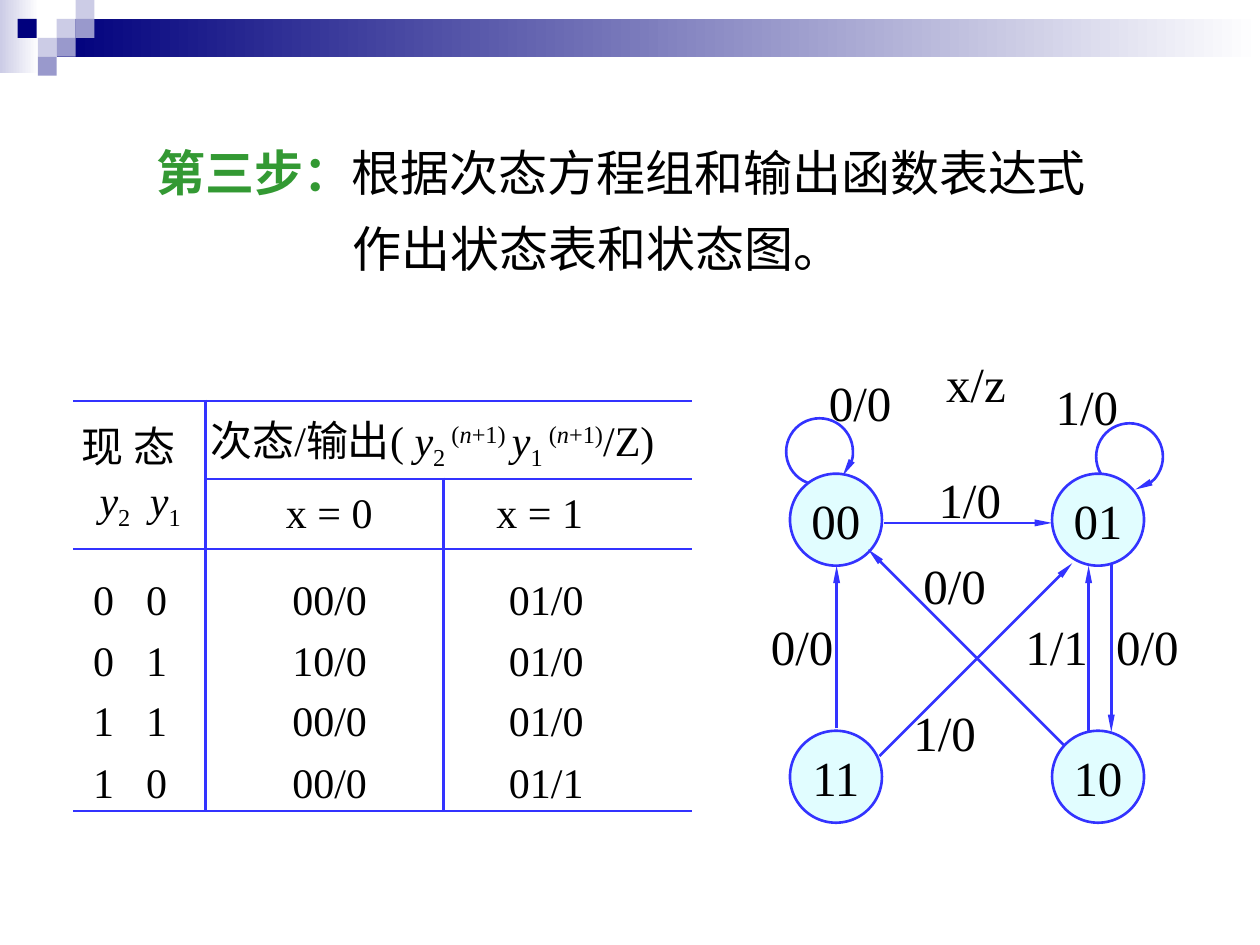
from pptx import Presentation
from pptx.dml.color import RGBColor
from pptx.enum.shapes import MSO_CONNECTOR, MSO_SHAPE
from pptx.enum.text import MSO_ANCHOR, MSO_AUTO_SIZE, PP_ALIGN
from pptx.oxml.ns import qn
from pptx.util import Inches, Pt
from lxml.etree import SubElement

NAVY = RGBColor(0x00, 0x00, 0x7D)
LILAC = RGBColor(0xCC, 0xCC, 0xE6)
VIOLET = RGBColor(0x99, 0x99, 0xCC)
WHITE = RGBColor(0xFF, 0xFF, 0xFF)
BLACK = RGBColor(0, 0, 0)
GREEN = RGBColor(0x33, 0x99, 0x33)
BLUE = RGBColor(0x33, 0x33, 0xFF)
PALE_CYAN = RGBColor(0xE1, 0xFD, 0xFF)
FONT = "Times New Roman"
LINE_WIDTH = Pt(1.5)
NO_STYLE_TABLE = "{2D5ABB26-0587-4C30-8999-92F81FD0307C}"

SUB, SUPER = -25000, 30000
STATE_ROWS = [("0\t0", "00/0", "01/0"), ("0\t1", "10/0", "01/0"),
              ("1\t1", "00/0", "01/0"), ("1\t0", "00/0", "01/1")]
NODE_SIZE = 0.73
NODES = [("00", 6.27, 3.76), ("01", 8.35, 3.76), ("10", 8.35, 5.8), ("11", 6.27, 5.8)]
TRANSITIONS = [(7.02, 4.15, 8.35, 4.15), (6.64, 5.78, 6.64, 4.49),
               (6.98, 6, 8.51, 4.47), (8.45, 5.92, 6.89, 4.36),
               (8.64, 5.81, 8.64, 4.49), (8.82, 4.47, 8.82, 5.81)]
LOOPS = [(6.24, 3.32, 110, 46), (8.7, 3.36, 146, 80)]
LABELS = [("x/z", 7.41, 2.76), ("0/0", 6.48, 2.91), ("1/0", 8.28, 2.94),
          ("1/0", 7.35, 3.68), ("0/0", 7.23, 4.36), ("0/0", 8.76, 4.84),
          ("0/0", 6.02, 4.84), ("1/1", 8.04, 4.84), ("1/0", 7.15, 5.53)]


def format_run(run, size, color=BLACK, bold=False, italic=False, baseline=0):
    font = run.font
    font.name, font.size, font.bold, font.italic = FONT, Pt(size), bold, italic
    font.color.rgb = color
    if baseline:
        run._r.get_or_add_rPr().set("baseline", str(baseline))


def add_formula(paragraph, parts):
    """Append (text, italic, baseline) parts as 24 pt runs."""
    for text, italic, baseline in parts:
        run = paragraph.add_run()
        run.text = text
        format_run(run, 24, italic=italic, baseline=baseline)


def add_tabs(paragraph, *stops):
    tab_list = SubElement(paragraph._p.get_or_add_pPr(), qn("a:tabLst"))
    for stop in stops:
        SubElement(tab_list, qn("a:tab"), pos=str(Inches(stop)), algn="l")


def style_line(line):
    line.color.rgb = BLUE
    line.width = LINE_WIDTH


def add_arrowhead(shape):
    outline = shape._element.spPr.find(qn("a:ln"))
    SubElement(outline, qn("a:tailEnd"), type="triangle", w="sm", len="lg")


def add_block(slide, left, top, width, height, *colors):
    """Add a borderless rectangle, shaded left to right if two colours are given."""
    block = slide.shapes.add_shape(MSO_SHAPE.RECTANGLE, Inches(left), Inches(top),
                                   Inches(width), Inches(height))
    block.shadow.inherit = False
    block.line.fill.background()
    if len(colors) == 1:
        block.fill.solid()
        block.fill.fore_color.rgb = colors[0]
    else:
        block.fill.gradient()
        block.fill.gradient_angle = 0
        for stop, color in zip(block.fill.gradient_stops, colors):
            stop.color.rgb = color


def add_banner(slide):
    add_block(slide, 0, 0, 0.31, 0.58, LILAC, WHITE)
    add_block(slide, 0.45, 0.15, 9.55, 0.3, NAVY, WHITE)
    for left, top, color in [(0.45, 0.15, LILAC), (0.6, 0, LILAC), (0.6, 0.15, VIOLET),
                             (0.3, 0.3, LILAC), (0.14, 0.15, NAVY),
                             (0.45, 0.3, VIOLET), (0.3, 0.45, VIOLET)]:
        add_block(slide, left, top, 0.15, 0.15, color)


def set_title(slide):
    title = slide.shapes.title
    title.left, title.top = Inches(1.14), Inches(0.94)
    title.width, title.height = Inches(7.79), Inches(1.32)
    frame = title.text_frame
    frame.vertical_anchor = MSO_ANCHOR.TOP
    frame.auto_size = MSO_AUTO_SIZE.NONE
    paragraph = frame.paragraphs[0]
    paragraph.alignment = PP_ALIGN.LEFT
    paragraph.line_spacing = 1.3
    paragraph.space_before = Pt(0)
    properties = paragraph._p.get_or_add_pPr()
    properties.set("marL", str(Inches(1.56)))
    properties.set("indent", str(-Inches(1.56)))
    for text, color, bold in [("第三步：", GREEN, True),
                              ("根据次态方程组和输出函数表达式作出状态表和状态图。", BLACK, False)]:
        run = paragraph.add_run()
        run.text = text
        format_run(run, 28, color, bold)


def rule_cell(cell, row, column, row_count):
    """Draw the table rules that touch this cell and clear its other sides."""
    def across(r):
        return r in (0, 2, row_count) or (r == 1 and column > 0)

    def down(c):
        return c == 1 or (c == 2 and row > 0)

    sides = [("a:lnL", down(column)), ("a:lnR", down(column + 1)),
             ("a:lnT", across(row)), ("a:lnB", across(row + 1))]
    properties = cell._tc.get_or_add_tcPr()
    for tag, ruled in sides:
        rule = SubElement(properties, qn(tag), w=str(LINE_WIDTH))
        if ruled:
            SubElement(SubElement(rule, qn("a:solidFill")), qn("a:srgbClr"), val=str(BLUE))
        else:
            SubElement(rule, qn("a:noFill"))
    cell.fill.background()


def fill_cell(cell, text, left):
    cell.margin_left = Inches(left)
    cell.text_frame.text = text
    paragraph = cell.text_frame.paragraphs[0]
    if "\t" in text:
        add_tabs(paragraph, 0.42)
    for run in paragraph.runs:
        format_run(run, 24)


def add_state_table(slide):
    widths = [1.05, 1.89, 1.97]
    heights = [0.62, 0.56, 0.63, 0.48, 0.48, 0.49]
    frame = slide.shapes.add_table(len(heights), len(widths), Inches(0.58), Inches(3.18),
                                   Inches(sum(widths)), Inches(sum(heights)))
    table = frame.table
    table._tbl.tblPr.find(qn("a:tableStyleId")).text = NO_STYLE_TABLE
    table.first_row = table.horz_banding = False
    for column, width in zip(table.columns, widths):
        column.width = Inches(width)
    for r, height in enumerate(heights):
        table.rows[r].height = Inches(height)
        for c in range(len(widths)):
            cell = table.cell(r, c)
            cell.margin_top = cell.margin_bottom = Inches(0.03)
            cell.margin_right = 0
            cell.vertical_anchor = MSO_ANCHOR.MIDDLE if r < 2 else MSO_ANCHOR.BOTTOM
            rule_cell(cell, r, c, len(heights))

    present, variables, following = table.cell(0, 0), table.cell(1, 0), table.cell(0, 1)
    fill_cell(present, "现 态", 0.07)
    present.vertical_anchor = MSO_ANCHOR.BOTTOM
    variables.margin_left = Inches(0.21)
    variables.vertical_anchor = MSO_ANCHOR.TOP
    variables.margin_top = 0
    names = variables.text_frame.paragraphs[0]
    add_tabs(names, 0.4)
    add_formula(names, [("y", True, 0), ("2", False, SUB),
                        ("\ty", True, 0), ("1", False, SUB)])

    following.merge(table.cell(0, 2))
    fill_cell(following, "次态/输出( ", 0.04)
    next_state = following.text_frame.paragraphs[0]
    for index, end in [("2 ", "+1) "), ("1 ", "+1)")]:
        add_formula(next_state, [("y", True, 0), (index, False, SUB), ("(", False, SUPER),
                                 ("n", True, SUPER), (end, False, SUPER)])
    add_formula(next_state, [("/Z)", False, 0)])

    fill_cell(table.cell(1, 1), "x = 0", 0.64)
    fill_cell(table.cell(1, 2), "x = 1", 0.42)
    for r, values in enumerate(STATE_ROWS, start=2):
        for c, (value, left) in enumerate(zip(values, (0.16, 0.69, 0.52))):
            fill_cell(table.cell(r, c), value, left)


def add_loop(slide, left, top, start, end):
    """Add a self-transition running clockwise between two angles in degrees."""
    loop = slide.shapes.add_shape(MSO_SHAPE.ARC, Inches(left), Inches(top),
                                  Inches(0.53), Inches(0.53))
    loop.shadow.inherit = False
    for i, angle in enumerate((start, end)):
        loop.adjustments[i] = angle * 0.6
    loop.fill.background()
    style_line(loop.line)
    add_arrowhead(loop)


def add_node(slide, state, left, top):
    node = slide.shapes.add_shape(MSO_SHAPE.OVAL, Inches(left), Inches(top),
                                  Inches(NODE_SIZE), Inches(NODE_SIZE))
    node.shadow.inherit = False
    node.fill.solid()
    node.fill.fore_color.rgb = PALE_CYAN
    style_line(node.line)
    frame = node.text_frame
    frame.text = state
    frame.word_wrap = False
    frame.vertical_anchor = MSO_ANCHOR.MIDDLE
    frame.paragraphs[0].alignment = PP_ALIGN.CENTER
    format_run(frame.paragraphs[0].runs[0], 28)


def add_transition(slide, *ends):
    arrow = slide.shapes.add_connector(MSO_CONNECTOR.STRAIGHT, *map(Inches, ends))
    style_line(arrow.line)
    add_arrowhead(arrow)
    SubElement(arrow._element.spPr, qn("a:effectLst"))


def add_label(slide, text, left, top):
    label = slide.shapes.add_textbox(Inches(left), Inches(top), Inches(0.69), Inches(0.57))
    frame = label.text_frame
    frame.text = text
    frame.word_wrap = True
    frame.margin_right = 0
    format_run(frame.paragraphs[0].runs[0], 28)


def main():
    deck = Presentation()
    deck.slide_width, deck.slide_height = Inches(10), Inches(7.5)
    slide = deck.slides.add_slide(deck.slide_layouts[5])
    add_banner(slide)
    set_title(slide)
    add_state_table(slide)
    for add_part, parts in [(add_loop, LOOPS), (add_node, NODES),
                            (add_transition, TRANSITIONS), (add_label, LABELS)]:
        for part in parts:
            add_part(slide, *part)
    deck.save("out.pptx")


if __name__ == "__main__":
    main()
